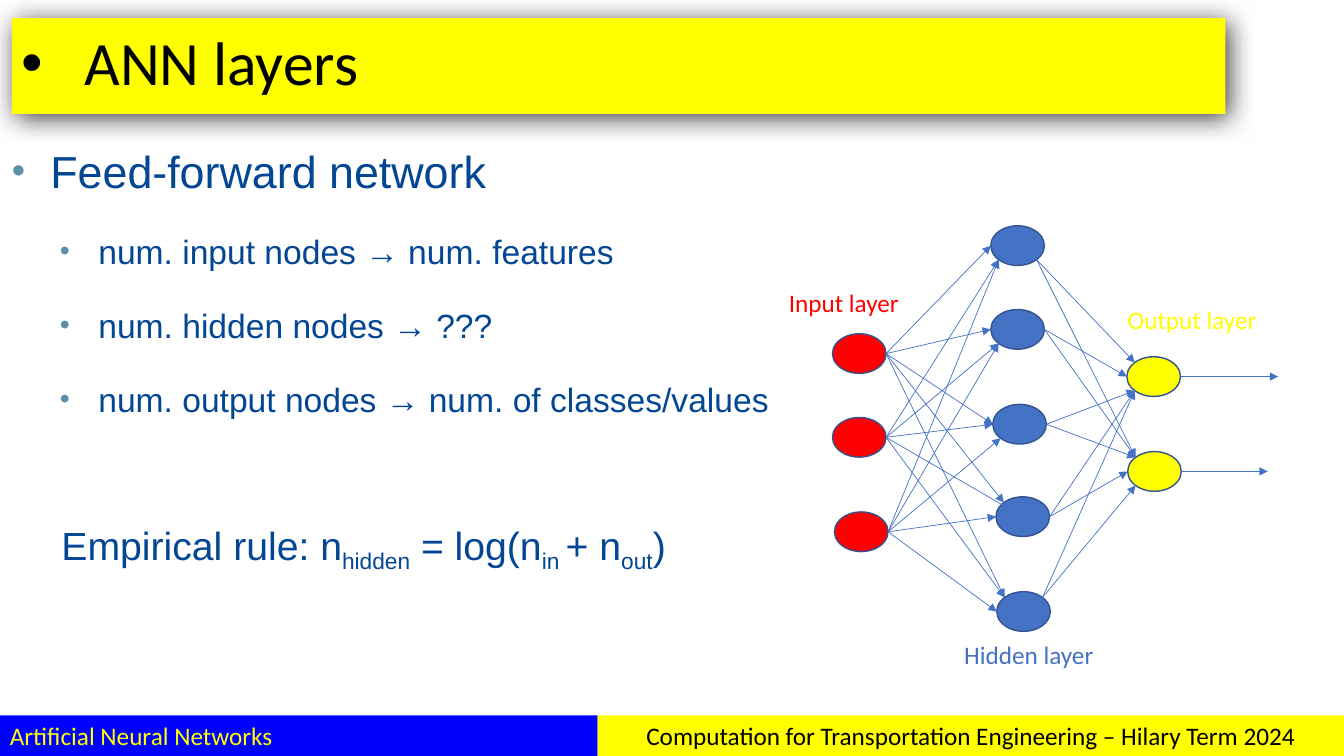
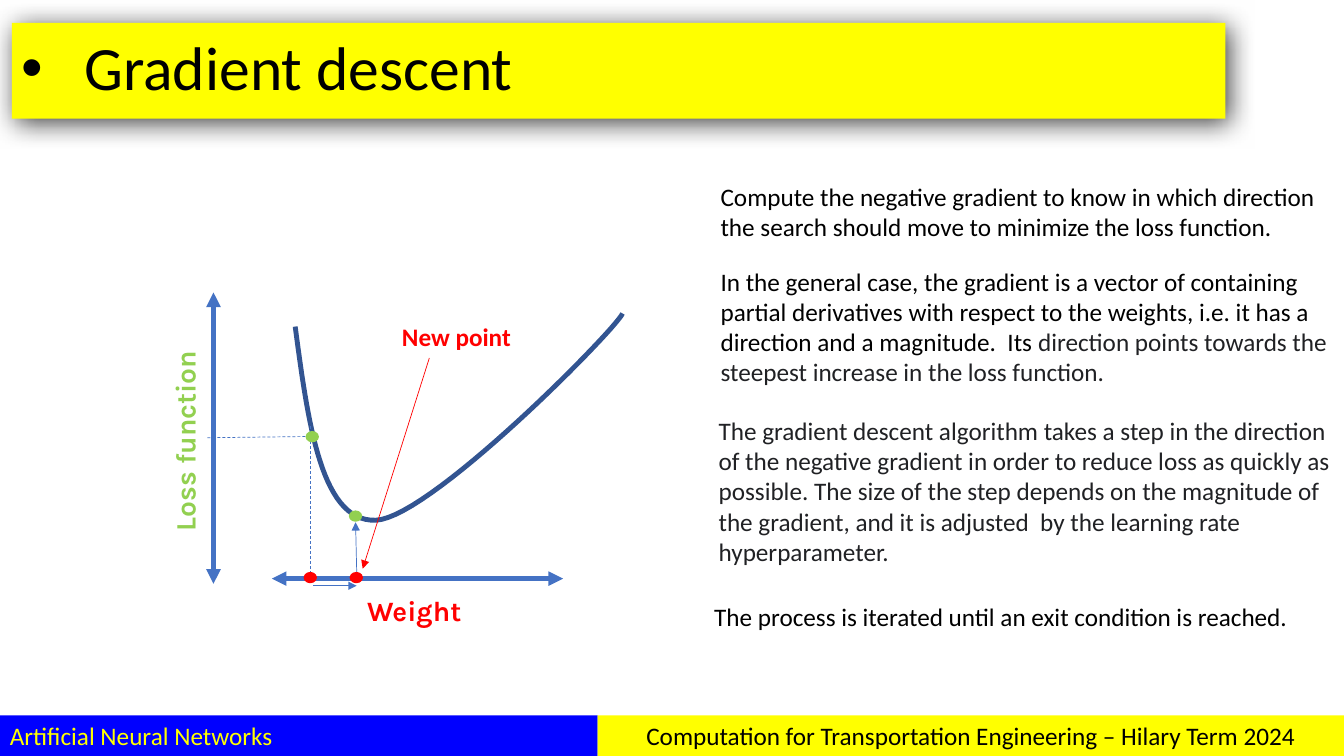
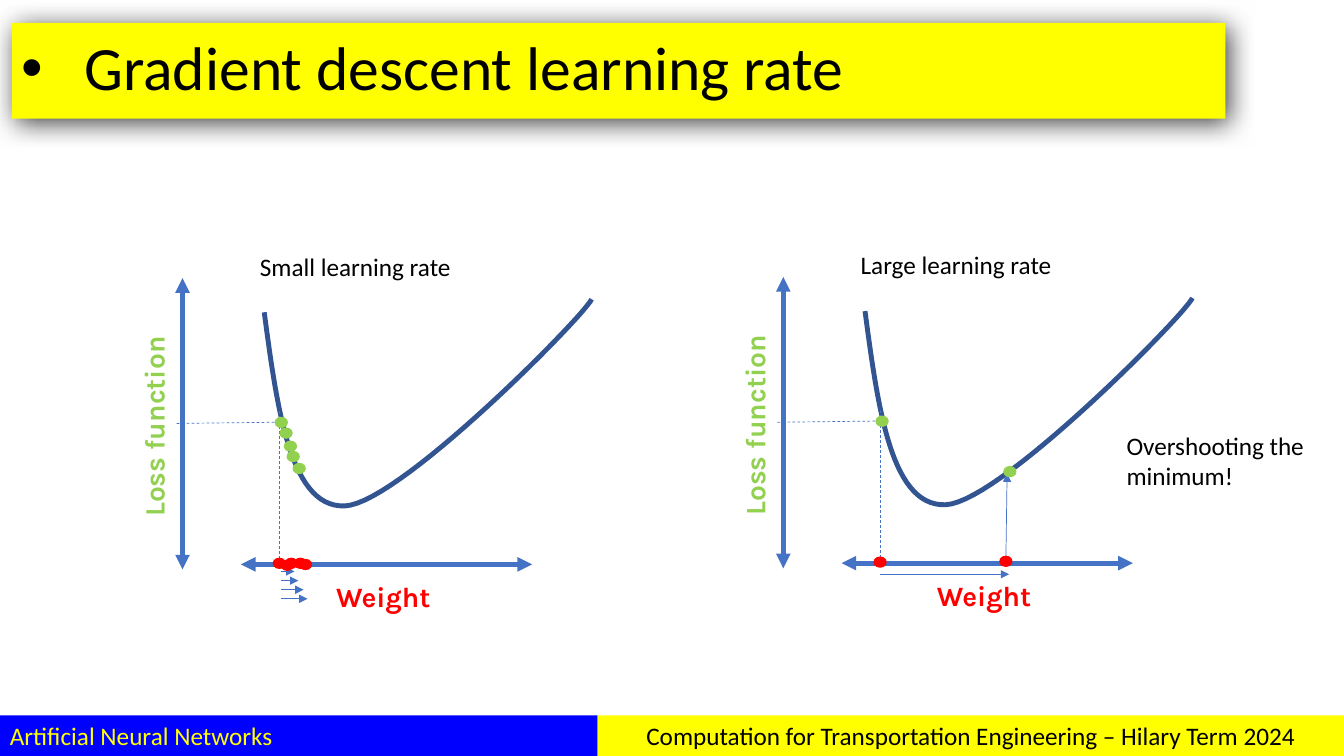
import math

import lxml.etree
import pptx
import pptx.dml.color
import pptx.enum.dml
import pptx.enum.shapes
import pptx.enum.text
import pptx.oxml.ns
import pptx.util

Shape = pptx.enum.shapes.MSO_SHAPE
Align = pptx.enum.text.PP_ALIGN
Anchor = pptx.enum.text.MSO_ANCHOR

BLACK, RED, YELLOW, GREEN = "000000", "FF0000", "FFFF00", "92D050"
BLUE, NAVY, BAND = "4472C4", "325491", "0000FF"
INK, BULLET, GREY = "034694", "5A90A8", "202124"

NODE_W, NODE_H = 1.35, 1.0
DOT_W, DOT_H = 0.3, 0.25


def rgb(code):
    return pptx.dml.color.RGBColor.from_string(code)


def cm(*sizes):
    return [pptx.util.Cm(size) for size in sizes]


def sub(parent, tag, **attrs):
    """Append a DrawingML element."""
    return lxml.etree.SubElement(parent, pptx.oxml.ns.qn("a:" + tag), attrs)


def style(para, size, color, font="Calibri", bold=False):
    para.font.size = pptx.util.Pt(size)
    para.font.name = font
    para.font.bold = bold
    para.font.color.rgb = rgb(color)


def indent(para, left, hang=0.0, color=None, scale=100):
    """Set the left margin; a hanging indent also gets a bullet."""
    props = para._p.get_or_add_pPr()
    props.set("marL", str(pptx.util.Cm(left)))
    props.set("indent", str(-pptx.util.Cm(hang)))
    if not hang:
        sub(props, "buNone")
        return
    if color:
        sub(sub(props, "buClr"), "srgbClr", val=color)
    sub(props, "buSzPct", val=str(scale * 1000))
    sub(props, "buFont", typeface="Arial")
    sub(props, "buChar", char="•")


def shape(slide, kind, box, fill, edge=None):
    item = slide.shapes.add_shape(kind, *cm(*box))
    item.shadow.inherit = False
    item.fill.solid()
    item.fill.fore_color.rgb = rgb(fill)
    if edge:
        item.line.color.rgb = rgb(edge)
        item.line.width = pptx.util.Pt(1)
    else:
        item.line.fill.background()
    return item


def band(slide, box, fill, text, color, size=18, align=Align.LEFT):
    item = shape(slide, Shape.RECTANGLE, box, fill)
    frame = item.text_frame
    frame.word_wrap = True
    frame.vertical_anchor = Anchor.TOP
    para = frame.paragraphs[0]
    para.text = text
    para.alignment = align
    style(para, size, color)
    return item


def label(slide, box, text, color=BLACK, size=18, font="Calibri",
          bold=False, align=Align.LEFT):
    item = slide.shapes.add_textbox(*cm(*box))
    item.text_frame.word_wrap = True
    para = item.text_frame.paragraphs[0]
    para.text = text
    para.alignment = align
    style(para, size, color, font, bold)
    return item


def line(slide, start, end, color=BLUE, width=0.5, ends=("tailEnd",),
         dash=False):
    item = slide.shapes.add_connector(
        pptx.enum.shapes.MSO_CONNECTOR.STRAIGHT, *cm(*start, *end))
    item.line.color.rgb = rgb(color)
    item.line.width = pptx.util.Pt(width)
    if dash:
        item.line.dash_style = pptx.enum.dml.MSO_LINE.DASH
    for tag in ends:
        sub(item.line._get_or_add_ln(), tag, type="triangle")
    sub(item._element.spPr, "effectLst")


def begin(deck, title, top=0.58):
    """Add a slide with its title bar and footer bands."""
    slide = deck.slides.add_slide(deck.slide_layouts[6])
    bar = band(slide, (0.3, top, 30.58, 2.41), YELLOW, title, BLACK, 44)
    bar.text_frame.vertical_anchor = Anchor.MIDDLE
    para = bar.text_frame.paragraphs[0]
    props = para._p.get_or_add_pPr()
    fonts = props.find(pptx.oxml.ns.qn("a:defRPr"))
    indent(para, 1.58, 1.58)
    props.append(fonts)
    para.line_spacing = 0.9
    glow = sub(bar._element.spPr.find(pptx.oxml.ns.qn("a:effectLst")),
               "outerShdw", blurRad=str(pptx.util.Pt(19)),
               dist=str(pptx.util.Pt(3)), dir="2700000", algn="tl",
               rotWithShape="0")
    sub(sub(glow, "srgbClr", val=BLACK), "alpha", val="74000")
    band(slide, (0, 18.03, 15.06, 1.02), BAND,
         "Artificial Neural Networks", YELLOW)
    band(slide, (15.06, 18.03, 18.81, 1.02), YELLOW,
         "Computation for Transportation Engineering – Hilary Term 2024",
         BLACK, align=Align.CENTER)
    return slide


def points(slide):
    """Write the bulleted text and the rule below it."""
    box = slide.shapes.add_textbox(*cm(0.3, 3.61, 32.41, 13.49))
    frame = box.text_frame
    frame.word_wrap = True
    frame.margin_left = frame.margin_right = 0
    frame.margin_top = frame.margin_bottom = 0
    rows = [("Feed-forward network", 32, 0.97),
            ("num. input nodes → num. features", 24, 2.18),
            ("num. hidden nodes → ???", 24, 2.18),
            ("num. output nodes → num. of classes/values", 24, 2.18)]
    para = frame.paragraphs[0]
    for text, size, left in rows:
        para.text = text
        indent(para, left, 0.97, BULLET, 85)
        para.space_before = pptx.util.Pt(24)
        style(para, size, INK, "Arial")
        para = frame.add_paragraph()
    indent(para, 1.25)
    para.space_before = pptx.util.Pt(73)
    style(para, 28, INK, "Arial")
    parts = ["Empirical rule: n", "hidden", " = log(n", "in ", "+ n",
             "out", ")"]
    for num, text in enumerate(parts):
        run = para.add_run()
        run.text = text
        if num % 2:
            run.font._element.set("baseline", "-25000")


def rim(node, angle):
    """Point on a node's edge, clockwise from the right; None is its centre."""
    x, y = node[0] + NODE_W / 2, node[1] + NODE_H / 2
    if angle is None:
        return x, y
    turn = math.radians(angle)
    return (x + NODE_W / 2 * math.cos(turn),
            y + NODE_H / 2 * math.sin(turn))


def network(slide):
    inputs = [(20.98, 8.41), (20.98, 10.52), (21.03, 12.9)]
    hidden = [(24.97, 5.69), (24.97, 7.8), (25.02, 10.19), (25.1, 12.52),
              (25.12, 14.91)]
    outputs = [(28.4, 8.99), (28.42, 11.38)]
    for layer, fill in ((inputs, RED), (hidden, BLUE), (outputs, YELLOW)):
        for node in layer:
            shape(slide, Shape.OVAL, (*node, NODE_W, NODE_H), fill, NAVY)

    entry = [(180, 180, 180, 225, 225),
             (135, 135, 180, None, 225),
             (135, 135, 135, 180, 180)]
    for node, angles in zip(inputs, entry):
        for goal, angle in zip(hidden, angles):
            line(slide, rim(node, 0), rim(goal, angle))

    leave = [45, 0, 0, 0, 315]
    entry = [(225, 225), (180, 225), (135, 225), (135, 180), (135, 135)]
    for node, out, angles in zip(hidden, leave, entry):
        for goal, angle in zip(outputs, angles):
            line(slide, rim(node, out), rim(goal, angle))

    for node, reach in zip(outputs, (2.46, 2.18)):
        x, y = rim(node, 0)
        line(slide, (x, y), (x + reach, y))

    label(slide, (19.63, 7.11, 3.48, 1.02), "Input layer", RED)
    label(slide, (24.05, 15.98, 4.5, 1.02), "Hidden layer", BLUE)
    label(slide, (28.17, 7.54, 3.86, 1.02), "Output layer", YELLOW)


def bezier(knots, count=30):
    """Points along a cubic curve, without its first."""
    for step in range(1, count + 1):
        t = step / count
        parts = ((1 - t) ** 3, 3 * t * (1 - t) ** 2,
                 3 * t * t * (1 - t), t ** 3)
        yield tuple(sum(w * knot[axis] for w, knot in zip(parts, knots))
                    for axis in (0, 1))


def plot(slide, x, y, reds, greens, arrows):
    """Draw a loss curve; all places count from the top of the loss axis."""
    def at(spot):
        return x + spot[0], y + spot[1]

    both = ("headEnd", "tailEnd")
    line(slide, at((0, 0)), at((0, 7.34)), width=3.5, ends=both)

    knots = [at(spot) for spot in (
        (2.06, 0.86), (2.39, 3.33), (2.72, 5.79), (4.09, 5.74),
        (5.46, 5.69), (10.16, 0.91), (10.31, 0.53))]
    pen = slide.shapes.build_freeform(*cm(*knots[0]))
    pen.add_line_segments(
        [cm(*spot) for part in (knots[:4], knots[3:])
         for spot in bezier(part)], close=False)
    curve = pen.convert_to_shape()
    curve.shadow.inherit = False
    curve.fill.background()
    curve.line.color.rgb = rgb(NAVY)
    curve.line.width = pptx.util.Pt(3.5)

    loss = label(slide, (*at((-4.39, 3.18)), 7.34, 1.12), "Loss function",
                 GREEN, 20, "Karla", True, Align.CENTER)
    loss.rotation = 270
    line(slide, at((8.81, 7.21)), at((1.47, 7.21)), width=3.5, ends=both)
    label(slide, (*at((1.39, 7.47)), 7.34, 1.12), "Weight",
          RED, 20, "Karla", True, Align.CENTER)

    line(slide, at((2.44, 7.21)), at((2.44, 3.33)), ends=(), dash=True)
    line(slide, at((-0.15, 3.66)), at((2.34, 3.63)), ends=(), dash=True)
    for start, end in arrows:
        line(slide, at(start), at(end))
    for color, spots in ((RED, [(2.29, 7.06)] + reds),
                         (GREEN, [(2.34, 3.51)] + greens)):
        for spot in spots:
            shape(slide, Shape.OVAL, (*at(spot), DOT_W, DOT_H), color, color)


def layers(deck):
    slide = begin(deck, "ANN layers", 0.46)
    points(slide)
    network(slide)


def descent(deck):
    slide = begin(deck, "Gradient descent")
    plot(slide, 5.38, 7.37, [(3.45, 7.06)], [(3.43, 5.51)],
         [((2.51, 7.39), (3.61, 7.39)), ((3.61, 7.06), (3.58, 5.79))])
    line(slide, (10.82, 9.02), (9.14, 14.33), RED)
    label(slide, (9.88, 7.98, 4.09, 1.02), "New point", RED, bold=True)

    label(slide, (17.91, 4.45, 15.95, 1.8),
          "Compute the negative gradient to know in which direction the "
          "search should move to minimize the loss function.")
    general = label(
        slide, (17.91, 6.58, 15.98, 4.88),
        "In the general case, the gradient is a vector of containing partial "
        "derivatives with respect to the weights, i.e. it has a direction "
        "and a magnitude.  Its")
    run = general.text_frame.paragraphs[0].add_run()
    run.text = (" direction points towards the steepest increase in the "
                "loss function.")
    run.font.color.rgb = rgb(GREY)
    label(slide, (17.86, 10.34, 15.98, 4.11),
          "The gradient descent algorithm takes a step in the direction of "
          "the negative gradient in order to reduce loss as quickly as "
          "possible. The size of the step depends on the magnitude of the "
          "gradient, and it is adjusted  by the learning rate "
          "hyperparameter.", GREY)
    label(slide, (17.75, 15.04, 15.8, 1.02),
          "The process is iterated until an exit condition is reached.")


def rates(deck):
    slide = begin(deck, "Gradient descent learning rate")
    steps = [((2.49, 7.39 + 0.23 * num), (end, 7.39 + 0.23 * num))
             for num, end in enumerate((2.82, 2.92, 3.05, 3.15))]
    plot(slide, 4.6, 7.01,
         [(2.59, 7.06), (2.82, 7.06), (2.95, 7.09), (2.49, 7.11)],
         [(2.46, 3.78), (2.57, 4.11), (2.64, 4.37), (2.79, 4.67)], steps)
    plot(slide, 19.74, 6.98, [(5.46, 7.04)], [(5.56, 4.78)],
         [((2.44, 7.49), (5.69, 7.49)), ((5.61, 7.09), (5.64, 4.95))])
    label(slide, (6.3, 6.2, 8.94, 1.02), "Small learning rate")
    label(slide, (21.44, 6.17, 8.94, 1.02), "Large learning rate")
    label(slide, (28.14, 10.72, 5.36, 1.8), "Overshooting the minimum!")


def main():
    deck = pptx.Presentation()
    deck.slide_width, deck.slide_height = cm(33.87, 19.05)
    layers(deck)
    descent(deck)
    rates(deck)
    deck.save("out.pptx")


if __name__ == "__main__":
    main()
